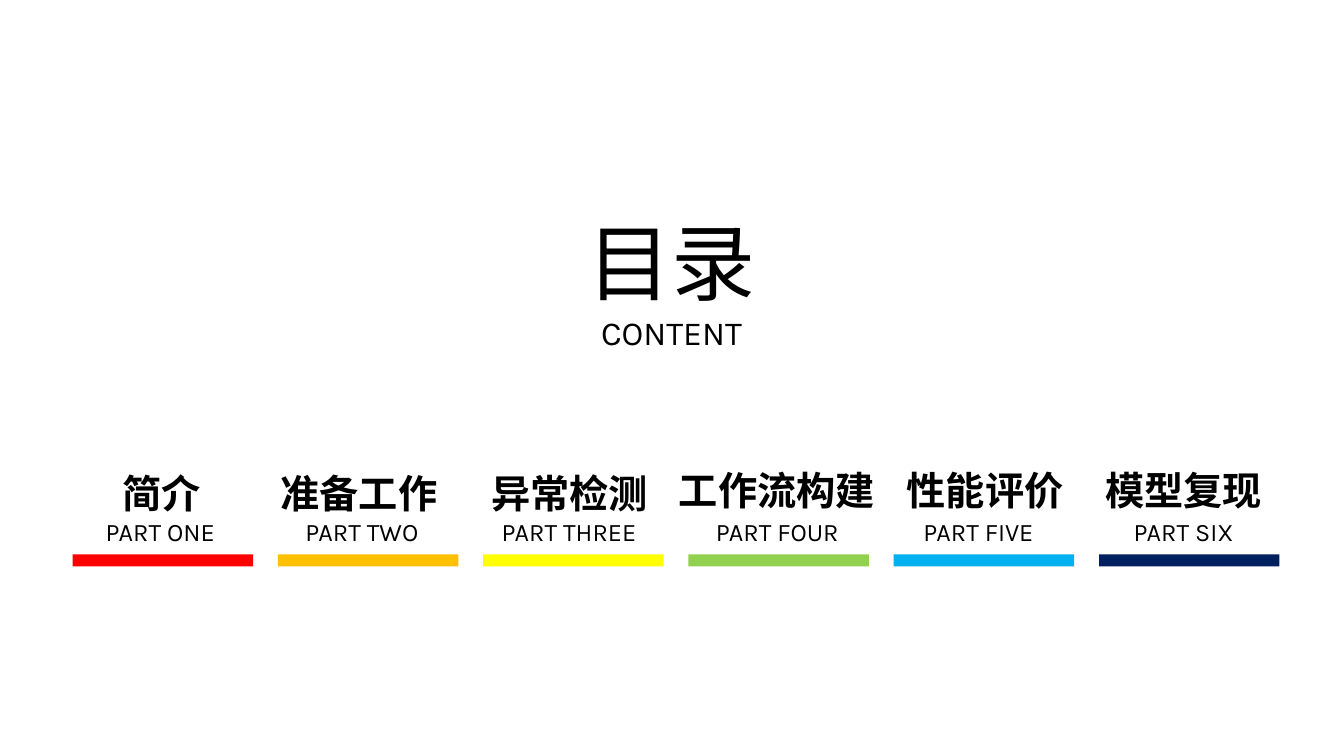
"""Build a contents slide with six colour-coded parts."""
from pptx import Presentation
from pptx.dml.color import RGBColor
from pptx.enum.shapes import MSO_SHAPE
from pptx.enum.text import MSO_AUTO_SIZE, PP_ALIGN
from pptx.util import Inches, Pt

FONT = "Karla"
BLACK = RGBColor(0x00, 0x00, 0x00)
RED = RGBColor(0xFF, 0x00, 0x00)
ORANGE = RGBColor(0xFF, 0xC0, 0x00)
YELLOW = RGBColor(0xFF, 0xFF, 0x00)
GREEN = RGBColor(0x92, 0xD0, 0x50)
BLUE = RGBColor(0x00, 0xB0, 0xF0)
NAVY = RGBColor(0x00, 0x20, 0x60)

BAR_LEFT, BAR_TOP, BAR_WIDTH, BAR_HEIGHT = 0.72, 5.5, 1.79, 0.12
BAR_STEP = 2.036

# title, (left, top, width), label, (left, width), colour
PARTS = [
    ("简介", (0.64, 4.47, 1.92), "PART ONE", (0.79, 1.6), RED),
    ("准备工作", (2.6, 4.47, 1.92), "PART TWO", (2.72, 1.74), ORANGE),
    ("异常检测", (4.69, 4.47, 1.92), "PART THREE", (4.71, 1.87), YELLOW),
    ("工作流构建", (6.34, 4.44, 2.73), "PART FOUR", (6.94, 1.54), GREEN),
    ("性能评价", (8.81, 4.44, 1.92), "PART FIVE", (9.04, 1.33), BLUE),
    ("模型复现", (10.78, 4.44, 1.92), "PART SIX", (11.07, 1.34), NAVY),
]

presentation = Presentation()
presentation.slide_width = Inches(13.33)
presentation.slide_height = Inches(7.5)
slide = presentation.slides.add_slide(presentation.slide_layouts[6])


def add_text(text, left, top, width, height, sizes, bold=None, spacing=None, wrap=True):
    text_box = slide.shapes.add_textbox(
        Inches(left), Inches(top), Inches(width), Inches(height))
    text_frame = text_box.text_frame
    text_frame.text = text
    text_frame.word_wrap = wrap
    text_frame.auto_size = MSO_AUTO_SIZE.SHAPE_TO_FIT_TEXT
    for paragraph, size in zip(text_frame.paragraphs, sizes):
        paragraph.alignment = PP_ALIGN.CENTER
        paragraph.line_spacing = spacing
        font = paragraph.runs[0].font
        font.name = FONT
        font.size = Pt(size)
        font.bold = bold
        font.color.rgb = BLACK


add_text("目录\nCONTENT", 5.72, 2.04, 1.88, 1.51, [60, 24], wrap=False)

for index, (title, title_place, label, label_place, colour) in enumerate(PARTS):
    label_left, label_width = label_place
    add_text(label, label_left, 4.98, label_width, 0.49, [18], spacing=1.3)
    add_text(title, *title_place, 0.71, [28], bold=True, spacing=1.3)

    bar = slide.shapes.add_shape(
        MSO_SHAPE.RECTANGLE, Inches(BAR_LEFT + index * BAR_STEP), Inches(BAR_TOP),
        Inches(BAR_WIDTH), Inches(BAR_HEIGHT))
    bar.shadow.inherit = False
    bar.fill.solid()
    bar.fill.fore_color.rgb = colour
    bar.line.fill.background()

presentation.save("out.pptx")
